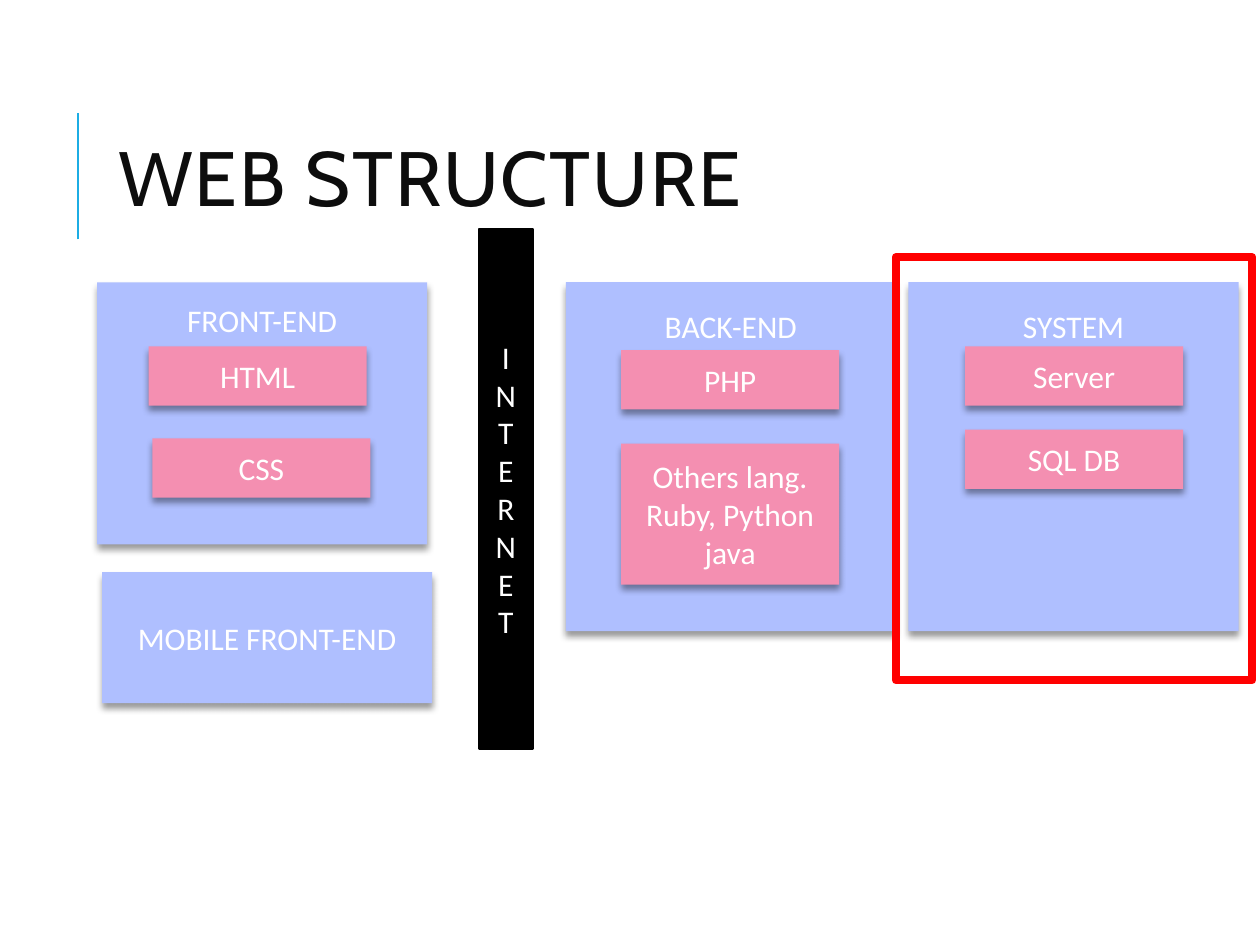
from lxml.etree import SubElement
from pptx import Presentation
from pptx.dml.color import RGBColor
from pptx.enum.shapes import MSO_CONNECTOR, MSO_SHAPE
from pptx.enum.text import MSO_ANCHOR, PP_ALIGN
from pptx.oxml.ns import qn
from pptx.util import Inches, Pt

COLORS = {
    "panel": "AFBFFF", "chip": "F48FB1", "wall": "000000", "mark": "FF0000",
    "accent": "1CADE4", "title": "0D0D0D", "text": "FFFFFF", "shade": "000000",
}


class Board:
    cell = 0.1
    font = "Calibri"
    size = 18

    def __init__(self, slide):
        self.slide = slide
        self.shapes = slide.shapes

    def grid(self, *units):
        return [Inches(unit * self.cell) for unit in units]

    def color(self, name):
        return RGBColor.from_string(COLORS[name])

    def style(self, frame, align, font, size, color):
        for para in frame.paragraphs:
            para.alignment = align
            for run in para.runs:
                run.font.name = font
                run.font.size = Pt(size)
                run.font.color.rgb = self.color(color)

    def title(self, text, *area):
        shape = self.shapes.title
        shape.left, shape.top, shape.width, shape.height = self.grid(*area)
        frame = shape.text_frame
        frame.text = text
        frame.word_wrap = True
        frame.vertical_anchor = MSO_ANCHOR.MIDDLE
        self.style(frame, PP_ALIGN.LEFT, "Cabin", 44, "title")
        para = frame.paragraphs[0]
        para.line_spacing = 0.8
        para.runs[0].font._element.set("spc", "100")

    def rule(self, *ends):
        line = self.shapes.add_connector(MSO_CONNECTOR.STRAIGHT, *self.grid(*ends))
        line.line.color.rgb = self.color("accent")
        line.line.width = Pt(1.5)
        SubElement(line._element.spPr, qn("a:effectLst"))

    def rect(self, *area, fill=None, edge=None, width=1.25):
        shape = self.shapes.add_shape(MSO_SHAPE.RECTANGLE, *self.grid(*area))
        shape.shadow.inherit = False
        if fill:
            shape.fill.solid()
            shape.fill.fore_color.rgb = self.color(fill)
        else:
            shape.fill.background()
        if edge:
            shape.line.color.rgb = self.color(edge)
            shape.line.width = Pt(width)
            SubElement(shape.line._get_or_add_ln(), qn("a:round"))
        else:
            shape.line.fill.background()
        return shape

    def label(self, shape, text, inset=None):
        frame = shape.text_frame
        frame.text = text
        frame.word_wrap = True
        frame.vertical_anchor = MSO_ANCHOR.MIDDLE
        if inset is not None:
            frame.vertical_anchor = MSO_ANCHOR.TOP
            frame.margin_top = self.grid(inset)[0]
        self.style(frame, PP_ALIGN.CENTER, self.font, self.size, "text")

    def shade(self, shape):
        effects = shape._element.spPr.find(qn("a:effectLst"))
        shadow = SubElement(effects, qn("a:outerShdw"), blurRad=str(Pt(4)),
                            dist=str(Pt(3)), dir="5400000", rotWithShape="0")
        tint = SubElement(shadow, qn("a:srgbClr"), val=COLORS["shade"])
        SubElement(tint, qn("a:alpha"), val="40000")

    def panel(self, text, left, top, height, inset=None):
        shape = self.rect(left, top, 26.2, height, fill="panel")
        self.shade(shape)
        self.label(shape, text, inset)

    def chip(self, text, left, top, height=4.7):
        shape = self.rect(left, top, 17.3, height, fill="chip")
        self.shade(shape)
        self.label(shape, text)

    def wall(self, word, *area):
        shape = self.rect(*area, fill="wall", edge="wall")
        self.label(shape, "\n".join(word))


deck = Presentation()
deck.slide_width, deck.slide_height = Inches(10), Inches(7.5)
board = Board(deck.slides.add_slide(deck.slide_layouts[5]))

board.rule(6.2, 19, 6.2, 9)
board.title("WEB STRUCTURE", 8.4, 6.4, 79.7, 16.4)

for panel in (
    ("FRONT-END", 7.7, 22.4, 20.8, 1.5),
    ("BACK-END", 44.9, 22.4, 27.7, 2),
    ("SYSTEM", 72.1, 22.4, 27.7, 2),
    ("MOBILE FRONT-END", 8.1, 45.4, 10.4),
):
    board.panel(*panel)

for chip in (
    ("HTML", 11.8, 27.5),
    ("CSS", 12.1, 34.8),
    ("PHP", 49.3, 27.8),
    ("Others lang.\nRuby, Python java", 49.3, 35.2, 11.2),
    ("Server", 76.6, 27.5),
    ("SQL DB", 76.6, 34.1),
):
    board.chip(*chip)

board.wall("INTERNET", 38, 18.2, 4.3, 41.2)
board.rect(71.1, 20.4, 28.3, 33.6, edge="mark", width=4.5)

deck.save("out.pptx")
